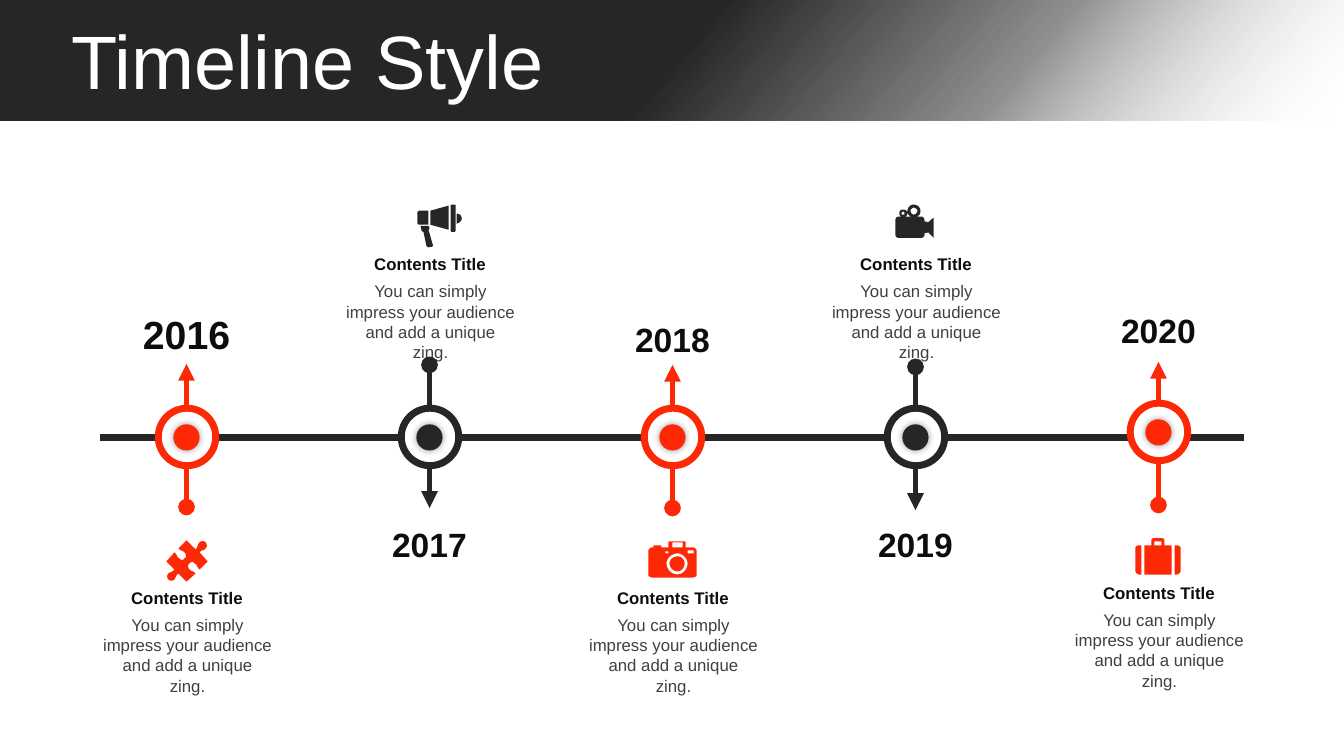
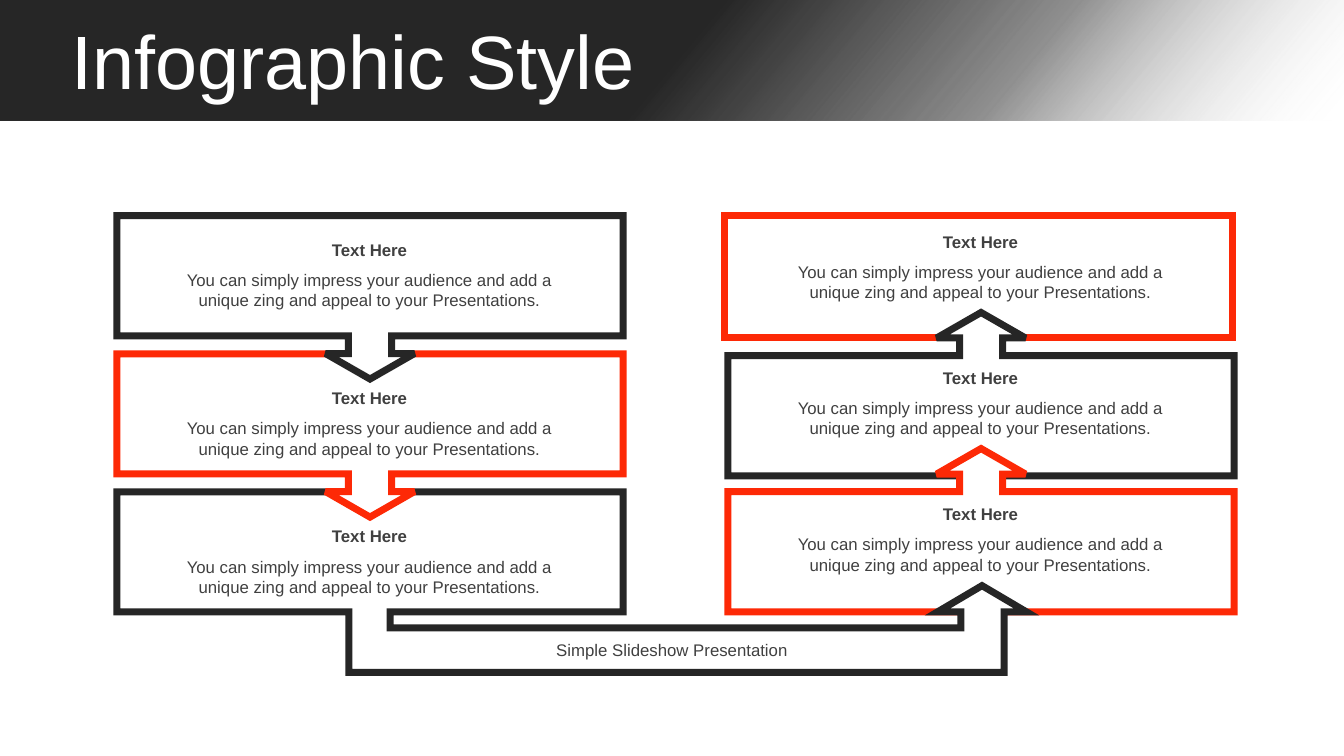
"""Build a timeline slide and an infographic slide that share one title band."""
from dataclasses import dataclass

from lxml import etree
from pptx import Presentation
from pptx import util as u
from pptx.dml.color import RGBColor
from pptx.enum import shapes, text
from pptx.oxml.ns import qn

COLORS = {"dark": "262626", "red": "FD2906", "white": "FFFFFF",
          "heading": "0D0D0D", "body": "404040", "shadow": "000000"}
FONT = "Arial"
BAND_STOPS = [(0, "white", 0), (25, "dark", 50), (50, "dark", 100), (100, "dark", 100)]
CALLOUT_ADJUSTMENTS = (0.264, 0.272, 0.156, 0.736)

PUZZLE = (
    "204 538,205 540 206 542 204 544,202 547 200 545 198 548,206 557,198 565,"
    "195 563 196 560 193 559,192 557 189 557 188 559,186 560 186 563 188 565,"
    "190 567 191 566 194 569,185 577,177 569,174 571 175 572 173 575,"
    "171 577 168 576 167 575,166 574 165 571 167 569,169 567 171 568 173 565,"
    "165 557,173 548,176 550 175 553 178 554,179 556 182 556 183 554,"
    "185 553 185 550 183 548,181 546 180 547 177 544,185 536,194 545,"
    "197 542 195 541 198 538,200 536 203 537 204 538")
MEGAPHONE = (
    "425 224,426 226,426 227 426 227 425 228,429 242,430 243 429 245 428 245,"
    "426 245,425 246 424 245 423 244,420 230,419 230 418 229 418 228,417 224/"
    "453 212,456 212 458 214 458 217,458 219 456 221 453 222,453 218 453 215 453 212/"
    "416 209,425 209,425 223,416 223,415 223 414 222 414 221,414 211,"
    "414 210 415 209 416 209/"
    "445 204,445 228,427 223,427 209/"
    "448 203,451 203,451 203 452 203 452 204,452 229,452 229 451 230 451 230,"
    "448 230,447 230 447 229 447 229,447 204,447 203 447 203 448 203")
CAMERA = (
    "672 552,676 552 679 555 679 559,679 563 676 567 672 567,"
    "668 567 664 563 664 559,664 555 668 552 672 552/"
    "672 549,666 549 661 554 661 559,661 565 666 570 672 570,"
    "677 570 682 565 682 559,682 554 677 549 672 549/"
    "660 547,660 549,663 549,663 547/682 546,682 549,688 549,688 546/"
    "667 538,667 543,677 543,677 538/"
    "665 537,679 537,679 537 680 537 680 538,680 543,687 543,"
    "689 543 691 545 691 547,691 570,691 572 689 573 687 573,647 573,"
    "645 573 643 572 643 570,643 547,643 545 645 543 647 543,648 543,648 541,"
    "655 541,656 541 656 541 656 541,656 543,663 543,663 538,663 537 664 537 665 537")
CAMCORDER = (
    "896 210,895 210 894 211 894 212,894 213 895 213 896 213,"
    "897 213 897 213 897 212,897 211 897 210 896 210/"
    "906 206,905 206 903 208 903 209,903 211 905 213 906 213,"
    "908 213 910 211 910 209,910 208 908 206 906 206/"
    "906 203,910 203 913 206 913 209,913 212 912 214 909 215,914 215,"
    "916 215 917 217 917 219,917 220,919 220,920 220 920 221 920 221,926 216,"
    "926 236,920 230,920 231 920 231 919 231,917 231,917 233,"
    "917 234 916 236 914 236,891 236,889 236 888 234 888 233,888 219,"
    "888 217 889 215 891 215,894 215,893 215 892 213 892 212,"
    "892 209 893 208 896 208,898 208 900 209 900 212,900 213 899 215 897 215,"
    "904 215,901 214 900 212 900 209,900 206 903 203 906 203")
SUITCASE = (
    "1165 541,1167 541,1169 541 1171 542 1171 544,1171 566,"
    "1171 568 1169 570 1167 570,1165 570/"
    "1130 541,1132 541,1132 570,1130 570,1128 570 1126 568 1126 566,1126 544,"
    "1126 542 1128 541 1130 541/"
    "1146 537,1145 537 1145 537 1145 538,1145 541,1152 541,1152 538,"
    "1152 537 1152 537 1151 537/"
    "1144 534,1153 534,1154 534 1155 535 1155 536,1155 541,1162 541,1162 570,"
    "1135 570,1135 541,1142 541,1142 536,1142 535 1143 534 1144 534")
BRIDGE = (
    "116 488,618 488,618 607,387 607,387 623,953 623,953 607,930 607,974 581,"
    "1018 607,996 607,996 667,346 667,346 607,116 607")


@dataclass(frozen=True)
class Milestone:
    """One year on the timeline; lengths are inches from the slide top."""
    year: str
    color: str
    icon: str
    year_top: float
    caption_top: float
    stem_top: float
    heads: tuple[str, str]
    center: float = 4.34
    year_size: int = 24


@dataclass(frozen=True)
class Callout:
    """One arrow box of the infographic."""
    left: float
    top: float
    color: str
    rotation: int


RED_HEADS, DARK_HEADS = ("triangle", "oval"), ("oval", "triangle")
MILESTONES = [
    Milestone("2016", "red", PUZZLE, 3.03, 5.78, 3.61, RED_HEADS, year_size=28),
    Milestone("2017", "dark", MEGAPHONE, 5.15, 2.47, 3.62, DARK_HEADS),
    Milestone("2018", "red", CAMERA, 3.11, 5.78, 3.62, RED_HEADS),
    Milestone("2019", "dark", CAMCORDER, 5.15, 2.47, 3.64, DARK_HEADS),
    Milestone("2020", "red", SUITCASE, 3.03, 5.73, 3.59, RED_HEADS, center=4.29),
]
UP_CALLOUTS = [Callout(7.22, 3.1, "dark", 180), Callout(7.22, 4.45, "red", 180)]
DOWN_CALLOUTS = [Callout(1.16, 3.51, "red", 0), Callout(1.16, 2.14, "dark", 0)]
CAPTION_COLUMNS = {1.59: (2.33, 3.8, 5.17), 7.65: (2.25, 3.6, 4.95)}


def rgb(color: str) -> RGBColor:
    """Look up a named colour."""
    return RGBColor.from_string(COLORS[color])


def sub(parent, tag: str, **attrs):
    """Append a DrawingML element to parent."""
    return etree.SubElement(parent, qn(f"a:{tag}"), {k: str(v) for k, v in attrs.items()})


def add_text(slide, content: str, box: tuple, *, size: float = 12, color: str = "body",
             bold: bool = False, align=text.PP_ALIGN.CENTER,
             anchor=text.MSO_ANCHOR.TOP, spacing: float = 1.0) -> None:
    """Add a wrapped text box with one formatted paragraph."""
    tf = slide.shapes.add_textbox(*map(u.Inches, box)).text_frame
    tf.word_wrap = True
    tf.vertical_anchor = anchor
    p = tf.paragraphs[0]
    p.alignment, p.line_spacing = align, spacing
    r = p.add_run()
    r.text = content
    r.font.name, r.font.size, r.font.bold = FONT, u.Pt(size), bold
    r.font.color.rgb = rgb(color)


def paint(sp, fill: str, line: str | None = None) -> None:
    """Give a shape a solid fill and an optional mitred 5 pt outline."""
    sp.shadow.inherit = False
    sp.fill.solid()
    sp.fill.fore_color.rgb = rgb(fill)
    if line:
        sp.line.color.rgb = rgb(line)
        sp.line.width = u.Pt(5)
        sub(sp.line._get_or_add_ln(), "miter", lim=800000)
    else:
        sp.line.fill.background()


def add_preset(slide, kind, box: tuple, fill: str, line: str | None = None):
    """Add a painted preset shape."""
    sp = slide.shapes.add_shape(kind, *map(u.Inches, box))
    paint(sp, fill, line)
    return sp


def add_line(slide, start: tuple, end: tuple, color: str, width: float, **ends: str) -> None:
    """Add a straight connector; ends maps headEnd or tailEnd to an arrow type."""
    s = slide.shapes.add_connector(shapes.MSO_CONNECTOR.STRAIGHT,
                                   *map(u.Inches, (*start, *end)))
    s.line.color.rgb = rgb(color)
    s.line.width = u.Pt(width)
    for tag, kind in ends.items():
        sub(s.line._get_or_add_ln(), tag, type=kind)
    sub(s._element.spPr, "effectLst")


def flatten(contour: str, steps: int = 6) -> list[tuple[float, float]]:
    """Turn points (2 numbers) and cubic curves (6 numbers) into EMU points."""
    points = []
    for segment in contour.split(","):
        v = [u.Inches(float(n) / 100) for n in segment.split()]
        if len(v) == 2:
            points.append((v[0], v[1]))
            continue
        curve = [points[-1], *zip(v[::2], v[1::2])]
        for i in range(1, steps + 1):
            t = i / steps
            weights = ((1 - t) ** 3, 3 * t * (1 - t) ** 2, 3 * t * t * (1 - t), t ** 3)
            points.append(tuple(sum(w * c[axis] for w, c in zip(weights, curve))
                                for axis in (0, 1)))
    return points


def add_outline(slide, outline: str, fill: str, line: str | None = None) -> None:
    """Draw slash-separated contours, in hundredths of an inch, as one freeform."""
    first, *others = [flatten(c) for c in outline.split("/")]
    builder = slide.shapes.build_freeform(*first[0], scale=1.0)
    builder.add_line_segments(first[1:], close=True)
    for points in others:
        builder.move_to(*points[0])
        builder.add_line_segments(points[1:], close=True)
    paint(builder.convert_to_shape(), fill, line)


def add_titled_slide(prs, title: str):
    """Add a blank slide with the gradient band and its title."""
    slide = prs.slides.add_slide(prs.slide_layouts[6])
    band = add_preset(slide, shapes.MSO_SHAPE.RECTANGLE, (0, 0, 13.33, 1.2), "dark")
    band.fill.gradient()
    grad = band._element.spPr.find(qn("a:gradFill"))
    for child in list(grad):
        grad.remove(child)
    stops = sub(grad, "gsLst")
    for position, color, opacity in BAND_STOPS:
        clr = sub(sub(stops, "gs", pos=position * 1000), "srgbClr", val=COLORS[color])
        sub(clr, "alpha", val=opacity * 1000)
    sub(grad, "lin", ang=220 * 60000, scaled=0)
    add_text(slide, title, (0.61, 0.25, 12.4, 0.79), size=54, color="white",
             align=text.PP_ALIGN.LEFT, anchor=text.MSO_ANCHOR.MIDDLE, spacing=0.9)
    return slide


def add_milestone(slide, m: Milestone, x: float) -> None:
    """Draw one milestone centred on x."""
    oval = shapes.MSO_SHAPE.OVAL
    add_text(slide, "You can simply impress your audience and add a unique zing.",
             (x - 0.93, m.caption_top + 0.27, 1.88, 0.71))
    add_text(slide, "Contents Title", (x - 0.94, m.caption_top, 1.89, 0.3),
             color="heading", bold=True)
    add_text(slide, m.year, (x - 0.65, m.year_top, 1.3, 0.5), size=m.year_size,
             color="heading", bold=True)
    add_outline(slide, m.icon, m.color)
    add_preset(slide, oval, (x - 0.28, m.center - 0.29, 0.57, 0.57), "white", m.color)
    upper, lower = m.heads
    top = m.stem_top
    add_line(slide, (x, top), (x, top + 0.41), m.color, 4, headEnd=upper)
    add_line(slide, (x, top + 1.01), (x, top + 1.42), m.color, 4, tailEnd=lower)
    dot = add_preset(slide, oval, (x - 0.13, m.center - 0.13, 0.26, 0.26), m.color)
    glow = sub(dot._element.spPr.find(qn("a:effectLst")), "outerShdw",
               blurRad=u.Pt(5), dist=0, dir=0, algn="ctr", rotWithShape=0)
    sub(sub(glow, "srgbClr", val=COLORS["shadow"]), "alpha", val=40000)


def add_callout(slide, c: Callout) -> None:
    """Draw one arrow box."""
    sp = add_preset(slide, shapes.MSO_SHAPE.DOWN_ARROW_CALLOUT,
                    (c.left, c.top, 5.02, 1.62), "white", c.color)
    sp.rotation = c.rotation
    for i, value in enumerate(CALLOUT_ADJUSTMENTS):
        sp.adjustments[i] = value


def build_timeline(prs) -> None:
    """Build the timeline slide."""
    slide = add_titled_slide(prs, "Timeline Style")
    add_line(slide, (0.99, 4.34), (12.34, 4.34), "dark", 5)
    for i, milestone in enumerate(MILESTONES):
        add_milestone(slide, milestone, 1.85 + 2.41 * i)


def build_infographic(prs) -> None:
    """Build the infographic slide."""
    slide = add_titled_slide(prs, "Infographic Style")
    add_preset(slide, shapes.MSO_SHAPE.RECTANGLE, (7.19, 2.14, 5.03, 1.21), "white", "red")
    for callout in UP_CALLOUTS:
        add_callout(slide, callout)
    add_outline(slide, BRIDGE, "white", "dark")
    for callout in DOWN_CALLOUTS:
        add_callout(slide, callout)
    for left, tops in CAPTION_COLUMNS.items():
        for top in tops:
            add_text(slide, "Text Here", (left, top, 4.15, 0.3), bold=True)
            add_text(slide, "You can simply impress your audience and add a unique zing "
                     "and appeal to your Presentations.", (left, top + 0.3, 4.15, 0.5))
    add_text(slide, "Simple Slideshow Presentation", (4.86, 6.28, 3.61, 0.33),
             anchor=text.MSO_ANCHOR.MIDDLE)


def main() -> None:
    """Build and save the presentation."""
    prs = Presentation()
    prs.slide_width, prs.slide_height = u.Inches(13.33), u.Inches(7.5)
    build_timeline(prs)
    build_infographic(prs)
    prs.save("out.pptx")


if __name__ == "__main__":
    main()
